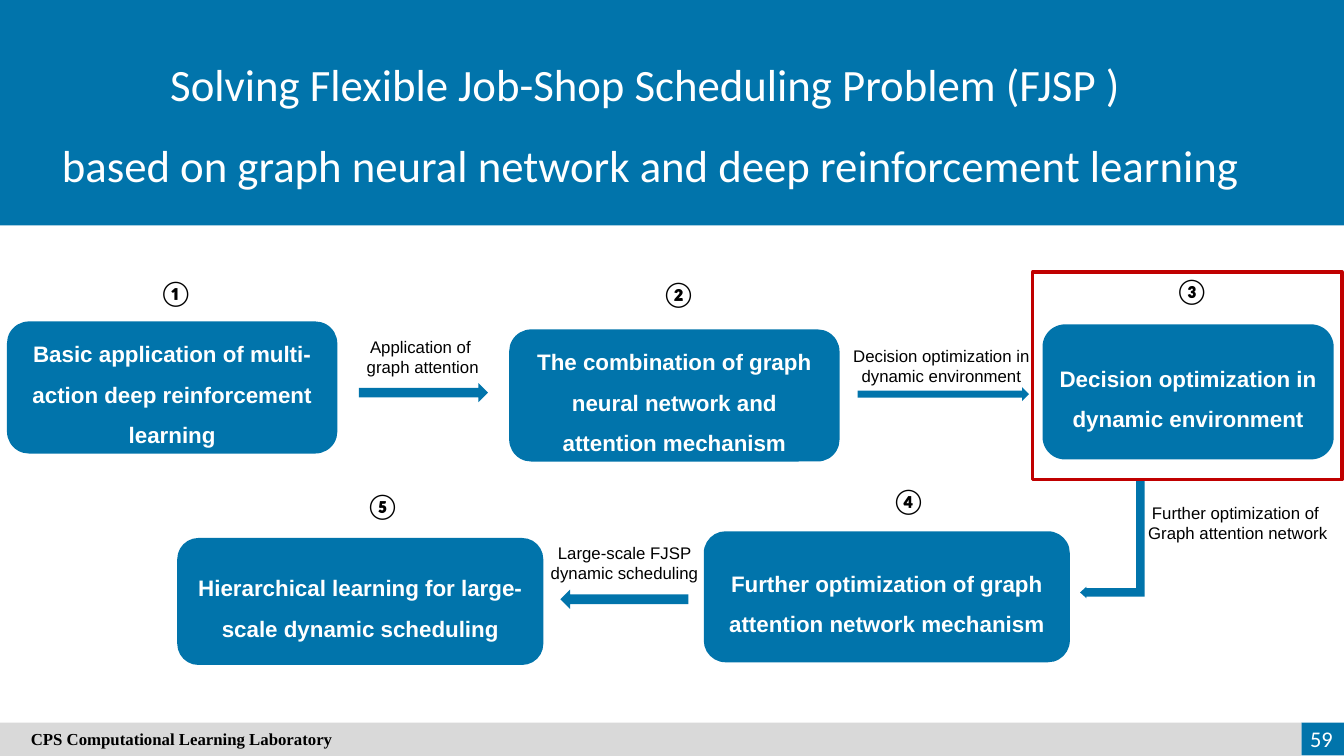
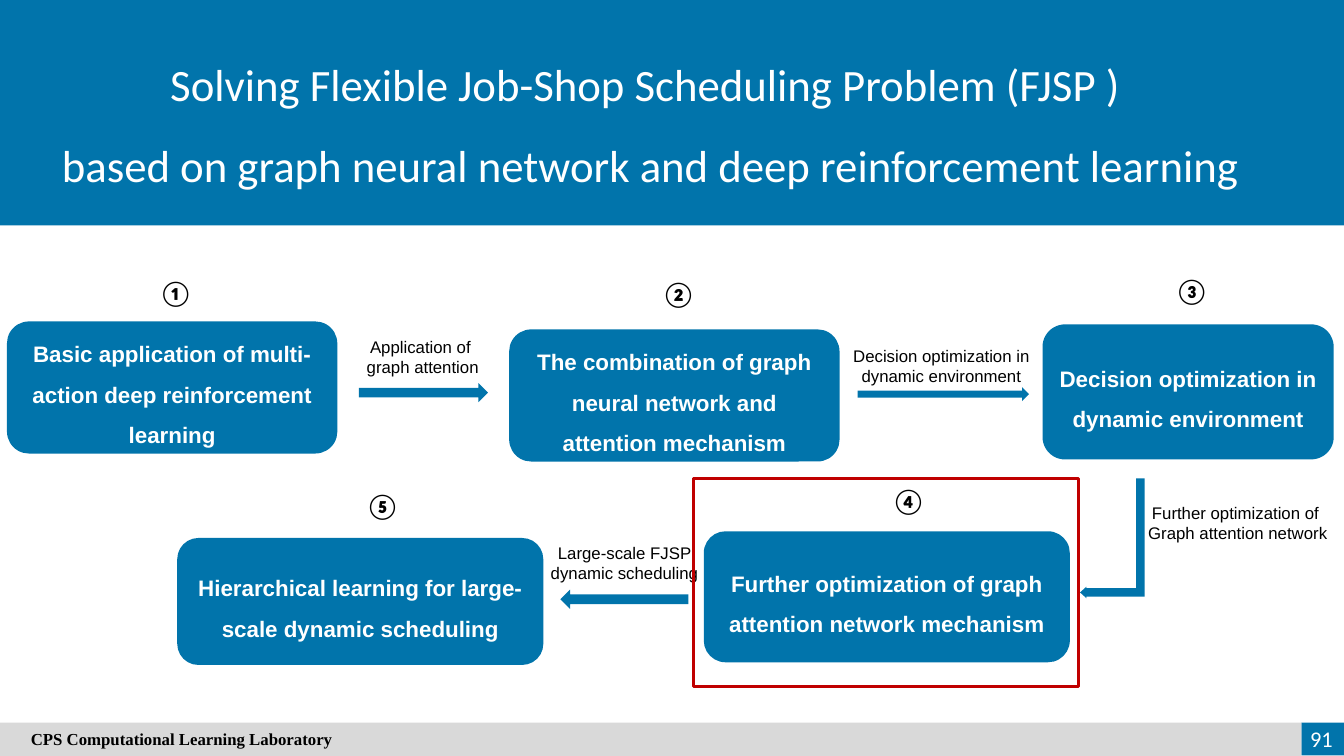
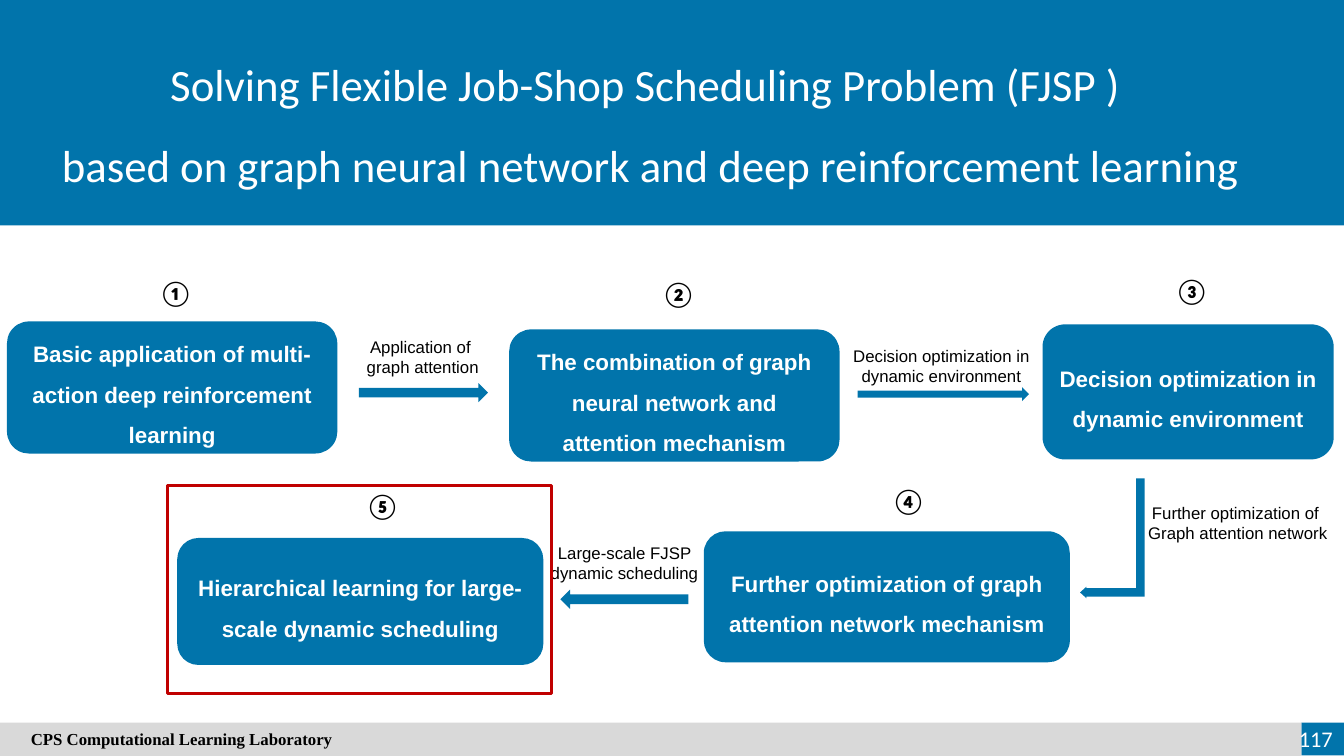
from pptx import Presentation
from pptx.dml.color import RGBColor
from pptx.enum.shapes import MSO_SHAPE as Preset
from pptx.enum.text import MSO_ANCHOR as Anchor, MSO_AUTO_SIZE as AutoSize, PP_ALIGN as Align
from pptx.util import Pt

COLORS = {"blue": "0174AB", "red": "C00000", "gray": "D9D9D9", "white": "FFFFFF", "black": "000000"}

TEXT_STYLES = {
    "title": {"name": "Calibri", "size": Pt(32), "bold": False, "color": "white"},
    "step": {"name": "Arial", "size": Pt(16), "bold": True, "color": "white"},
    "label": {"name": "Arial", "size": Pt(12), "bold": False, "color": "black"},
    "badge": {"name": "Calibri", "size": Pt(18), "bold": True, "color": "black"},
    "footer": {"name": "Times New Roman", "size": Pt(12), "bold": True, "color": "black"},
    "number": {"name": "Calibri", "size": Pt(16), "bold": False, "color": "white"},
}

TITLE = [
    "Solving Flexible Job-Shop Scheduling Problem (FJSP ) ",
    "based on graph neural network and deep reinforcement learning",
]
FOOTER = "CPS Computational Learning Laboratory"

STEPS = [
    ("①", "Basic application of multi-action deep reinforcement learning",
     (5, 229.6, 236, 94.4), (106.6, 194.4)),
    ("②", "The combination of graph neural network and attention mechanism",
     (363.7, 235.3, 236, 94.4), (465.7, 195.1)),
    ("③", "Decision optimization in dynamic environment",
     (744.7, 231.7, 208, 96.5), (832.3, 193)),
    ("④", "Further optimization of graph attention network mechanism",
     (502.7, 379.5, 261.5, 93.6), (630, 343.4)),
    ("⑤", "Hierarchical learning for large-scale dynamic scheduling",
     (126.6, 384.3, 261.5, 90.7), (254.2, 347)),
]
LABELS = [
    (["Application of ", "graph attention"], (223.9, 236.9, 156.2, 36)),
    (["Decision optimization in dynamic environment"], (589.7, 243.4, 165.6, 36)),
    (["Further optimization of ", "Graph attention network"], (801.4, 355.7, 165.6, 36)),
    (["Large-scale FJSP dynamic scheduling"], (373, 383.8, 146.2, 36)),
]
ARROWS = [
    ((256.3, 273.6, 92.2, 13.7), 0),
    ((612.7, 276.5, 122.4, 10.1), 0),
    ((400.3, 421.2, 91.4, 13.7), 180),
]
TURN = (751.7, 361.4, 85.7, 46.1)
TURN_ADJUSTMENTS = (0.13, 0.09, 0.1)
PAGES = [("59", 2), ("91", 3), ("117", 4)]


def rgb(name):
    return RGBColor.from_string(COLORS[name])


def write(box, lines, style, align=Align.LEFT, anchor=Anchor.TOP, spacing=1.0, wrap=True):
    frame = box.text_frame
    frame.word_wrap = wrap
    frame.auto_size = AutoSize.NONE
    frame.vertical_anchor = anchor
    for index, line in enumerate(lines):
        para = frame.paragraphs[0] if index == 0 else frame.add_paragraph()
        para.alignment = align
        para.line_spacing = spacing
        span = para.add_run()
        span.text = line
        for key, value in TEXT_STYLES[style].items():
            if key == "color":
                span.font.color.rgb = rgb(value)
            else:
                setattr(span.font, key, value)


def add_shape(page, preset, place, fill):
    shape = page.shapes.add_shape(preset, *map(Pt, place))
    shape.shadow.inherit = False
    shape.fill.solid()
    shape.fill.fore_color.rgb = rgb(fill)
    shape.line.fill.background()
    return shape


def add_text(page, lines, place, style, **layout):
    write(page.shapes.add_textbox(*map(Pt, place)), lines, style, **layout)


def add_title(page):
    add_shape(page, Preset.RECTANGLE, (0, 0, 964, 161), "blue")
    title = page.shapes.title
    page.shapes._spTree.append(title._element)
    title.left, title.top, title.width, title.height = map(Pt, (24.5, 18, 880.6, 117.4))
    write(title, TITLE, "title", align=Align.CENTER, spacing=1.5)


def add_flow(page):
    for mark, text, place, (left, top) in STEPS:
        step = add_shape(page, Preset.ROUNDED_RECTANGLE, place, "blue")
        write(step, [text], "step", align=Align.CENTER, anchor=Anchor.MIDDLE, spacing=1.5)
        add_text(page, [mark], (left, top, 32.4, 28.8), "badge", wrap=False)
    for place, rotation in ARROWS:
        add_shape(page, Preset.RIGHT_ARROW, place, "blue").rotation = rotation
    turn = add_shape(page, Preset.BENT_UP_ARROW, TURN, "blue")
    turn.rotation = 90
    turn._element.spPr.xfrm.set("flipV", "1")
    for index, value in enumerate(TURN_ADJUSTMENTS):
        turn.adjustments[index] = value
    for lines, place in LABELS:
        add_text(page, lines, place, "label", align=Align.CENTER)


def add_footer(page, number):
    add_shape(page, Preset.RECTANGLE, (929.5, 516.2, 30.5, 23.4), "blue")
    bar = add_shape(page, Preset.RECTANGLE, (0, 516.2, 929.5, 23.8), "gray")
    write(bar, [FOOTER], "footer", anchor=Anchor.MIDDLE)
    bar.text_frame.margin_left = Pt(22)
    add_text(page, [number], (913.7, 513.4, 45.4, 28.8), "number",
             align=Align.RIGHT, anchor=Anchor.MIDDLE)


def add_highlight(page, place):
    left, top, width, height = place
    frame = add_shape(page, Preset.RECTANGLE, (left - 7, top - 37.4, width + 13, 148.3), "white")
    frame.fill.background()
    frame.line.color.rgb = rgb("red")
    frame.line.width = Pt(2.25)


def main():
    deck = Presentation()
    deck.slide_width, deck.slide_height = Pt(960), Pt(540)
    for number, current in PAGES:
        page = deck.slides.add_slide(deck.slide_layouts[5])
        add_title(page)
        add_flow(page)
        add_footer(page, number)
        add_highlight(page, STEPS[current][2])
    deck.save("out.pptx")


if __name__ == "__main__":
    main()
